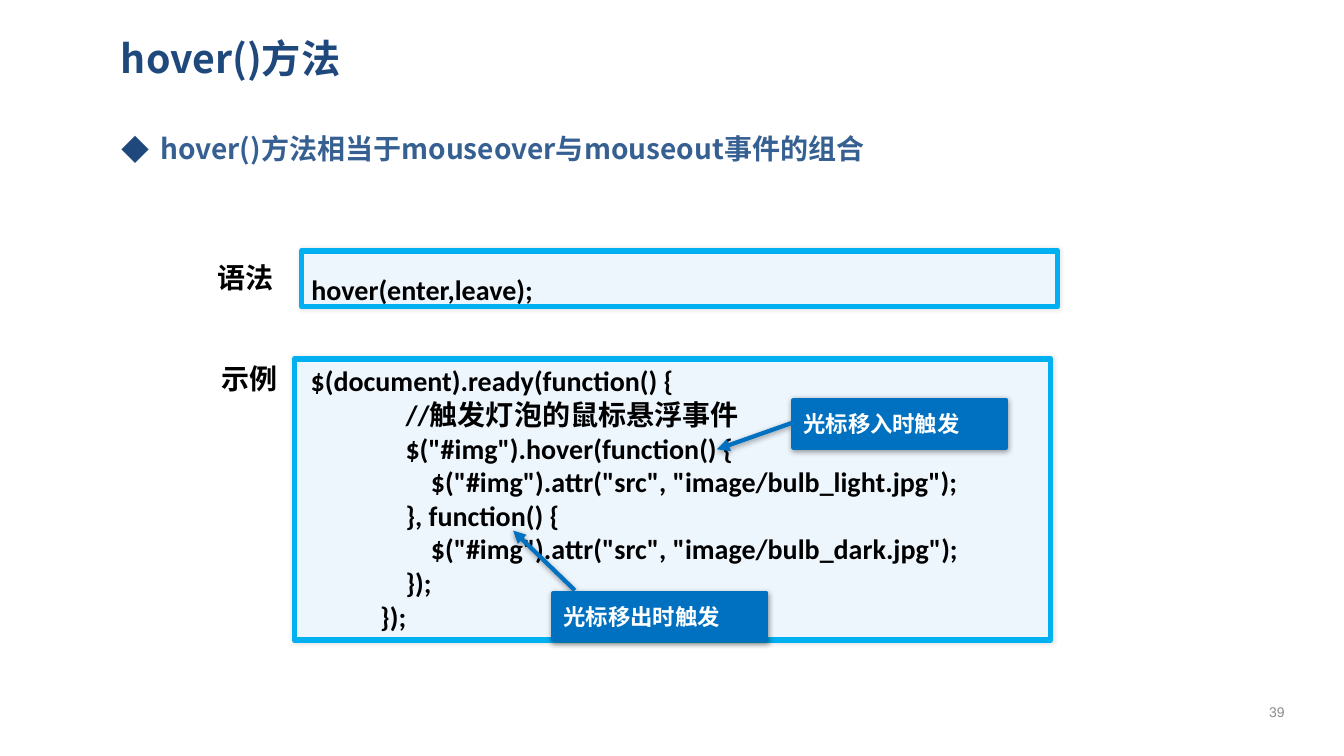
from lxml import etree
from pptx import Presentation, util as u
from pptx.dml.color import RGBColor
from pptx.enum import shapes, text
from pptx.oxml import ns

COLORS = {"title": "1F497D", "body": "376092", "panel": "EDF5FD", "border": "00B0F0",
          "callout": "0070C0", "black": "000000", "white": "FFFFFF", "page": "8C8C8C"}
CJK = "Noto Sans CJK SC"
WIDTH, HEIGHT = u.Inches(13.33), u.Inches(7.5)
COL, ROW = WIDTH / 100, HEIGHT / 100
CODE = """ $(document).ready(function() {
                //触发灯泡的鼠标悬浮事件
                $("#img").hover(function() {
                    $("#img").attr("src", "image/bulb_light.jpg");
                }, function() {
                    $("#img").attr("src", "image/bulb_dark.jpg");
                });
            });"""


def rgb(name):
    return RGBColor.from_string(COLORS[name])


def place(box):
    col, row, cols, rows = box
    return [u.Emu(round(v)) for v in (col * COL, row * ROW, cols * COL, rows * ROW)]


def sub(parent, tag, **attrs):
    return etree.SubElement(parent, ns.qn(tag), attrs)


def add_shadow(effects, alpha, blur, dist, angle):
    shadow = sub(effects, "a:outerShdw", blurRad=str(u.Pt(blur)), dist=str(u.Pt(dist)),
                 dir=str(angle * 60000), algn="ctr", rotWithShape="0")
    color = sub(shadow, "a:srgbClr", val=COLORS["black"])
    sub(color, "a:alpha", val=str(alpha * 1000))


def add_run(p, words, size, color, font=CJK, bold=True):
    r = p.add_run()
    r.text = words
    r.font.size, r.font.bold, r.font.name = u.Pt(size), bold, font
    r.font.color.rgb = rgb(color)
    sub(r.font._element, "a:ea", typeface=CJK)
    return r


def add_text(s, box, anchor=text.MSO_ANCHOR.TOP, wrap=True):
    tf = s.shapes.add_textbox(*place(box)).text_frame
    tf.word_wrap, tf.vertical_anchor = wrap, anchor
    return tf


def style_shape(sp, fill, line, width, shadow):
    sp.shadow.inherit = False
    sp.fill.solid()
    sp.fill.fore_color.rgb = rgb(fill)
    sp.line.color.rgb, sp.line.width = rgb(line), u.Pt(width)
    add_shadow(sp._element.spPr.find(ns.qn("a:effectLst")), *shadow)


def add_title(s, box, words):
    sp = s.shapes.title
    sp.left, sp.top, sp.width, sp.height = place(box)
    tf = sp.text_frame
    tf.vertical_anchor = text.MSO_ANCHOR.MIDDLE
    p = tf.paragraphs[0]
    p.alignment = text.PP_ALIGN.LEFT
    add_run(p, words, 28, "title")


def add_bullet(s, box, words):
    p = add_text(s, box).paragraphs[0]
    p.line_spacing = 1.2
    pPr = p._p.get_or_add_pPr()
    pPr.set("marL", str(u.Inches(0.38)))
    pPr.set("indent", str(-u.Inches(0.38)))
    sub(sub(pPr, "a:buClr"), "a:srgbClr", val=COLORS["title"])
    sub(pPr, "a:buFont", typeface=CJK)
    sub(pPr, "a:buChar", char="◆")
    add_run(p, words, 20, "body")


def add_label(s, box, words):
    tf = add_text(s, box, text.MSO_ANCHOR.MIDDLE, wrap=False)
    r = add_run(tf.paragraphs[0], words, 20, "black")
    effects = etree.Element(ns.qn("a:effectLst"))
    add_shadow(effects, 40, 3, 2, 45)
    r.font._element.find(ns.qn("a:solidFill")).addnext(effects)


def add_panel(s, box, label, label_shift, code, spacing=1.0):
    sp = s.shapes.add_shape(shapes.MSO_SHAPE.ROUNDED_RECTANGLE, *place(box))
    sp.adjustments[0] = 0
    style_shape(sp, "panel", "border", 4, (10, 3, 0, 0))
    tf = sp.text_frame
    tf.word_wrap, tf.vertical_anchor = True, text.MSO_ANCHOR.TOP
    for i, line in enumerate(code.split("\n")):
        p = tf.add_paragraph() if i else tf.paragraphs[0]
        p.alignment, p.line_spacing = text.PP_ALIGN.LEFT, spacing
        add_run(p, line, 20, "black", "Calibri")
    dx, dy = label_shift
    add_label(s, (box[0] + dx, box[1] + dy, 5.78, 5.87), label)


def add_callout(s, panel, shift, words, pointer):
    box = (panel[0] + shift[0], panel[1] + shift[1], 15.83, 6.27)
    sp = s.shapes.add_shape(shapes.MSO_SHAPE.LINE_CALLOUT_1, *place(box))
    for i, value in enumerate(pointer):
        sp.adjustments[i] = value
    style_shape(sp, "callout", "callout", 3, (40, 4, 1, 90))
    sub(sp.line._get_or_add_ln(), "a:headEnd", type="triangle")
    tf = sp.text_frame
    tf.word_wrap, tf.vertical_anchor = True, text.MSO_ANCHOR.MIDDLE
    p = tf.paragraphs[0]
    p.alignment = text.PP_ALIGN.LEFT
    add_run(p, words, 16, "white")


def add_page_number(s, box, number):
    p = add_text(s, box, text.MSO_ANCHOR.MIDDLE).paragraphs[0]
    p.alignment = text.PP_ALIGN.CENTER
    add_run(p, number, 10, "page", "Arial", bold=False)


def main():
    prs = Presentation()
    prs.slide_width, prs.slide_height = WIDTH, HEIGHT
    s = prs.slides.add_slide(prs.slide_layouts[5])
    add_title(s, (8.25, 3.2, 87.4, 8.93), "hover()方法")
    add_bullet(s, (8.33, 15.87, 87.4, 8), "hover()方法相当于mouseover与mouseout事件的组合")
    add_panel(s, (22.43, 33.2, 56.26, 7.33), "语法", (-6.98, 0.53), "hover(enter,leave);", 1.5)
    example = (21.9, 47.47, 56.26, 37.2)
    add_panel(s, example, "示例", (-6.15, -0.4), CODE)
    add_callout(s, example, (37.14, 5.46), "光标移入时触发", (1.04, -0.36, 0.47, 0))
    add_callout(s, example, (19.29, 30.93), "光标移出时触发", (-1.31, -0.19, -0.05, 0.1))
    add_page_number(s, (92.57, 91.47, 4.88, 5.33), "39")
    prs.save("out.pptx")


if __name__ == "__main__":
    main()
